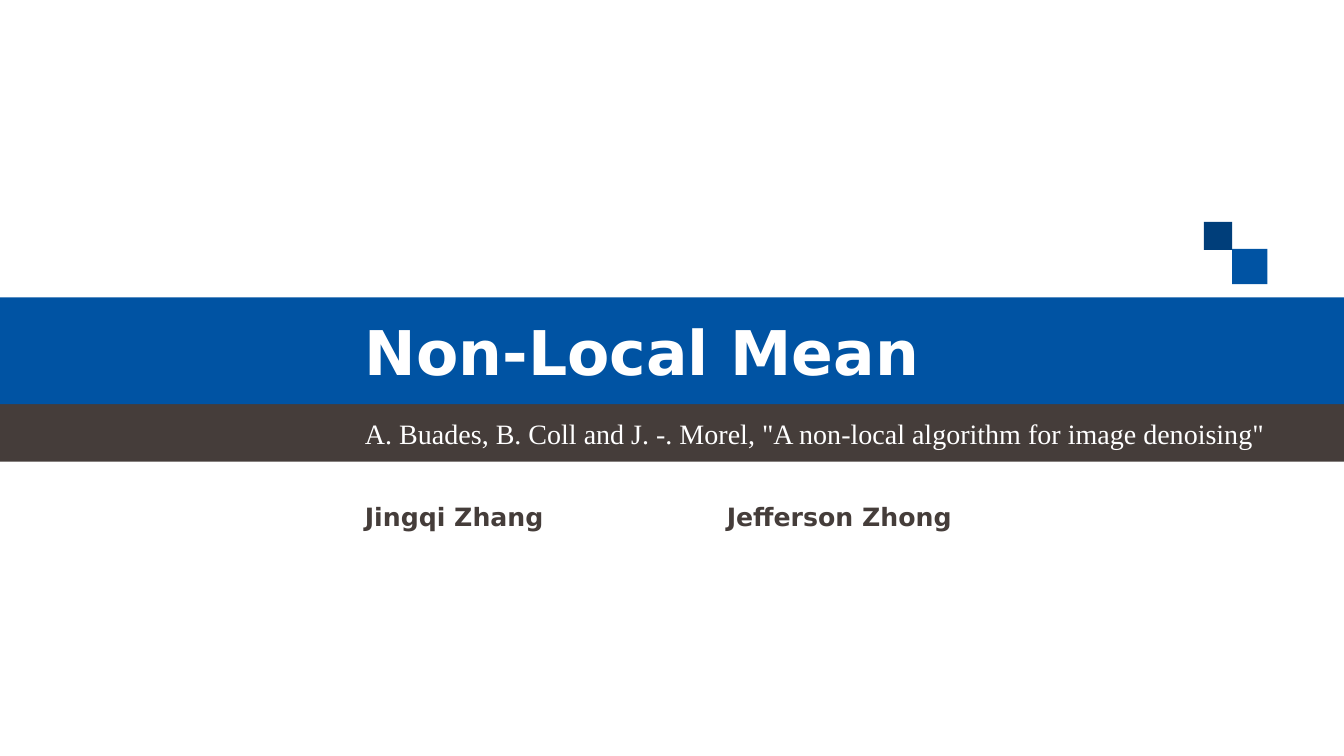
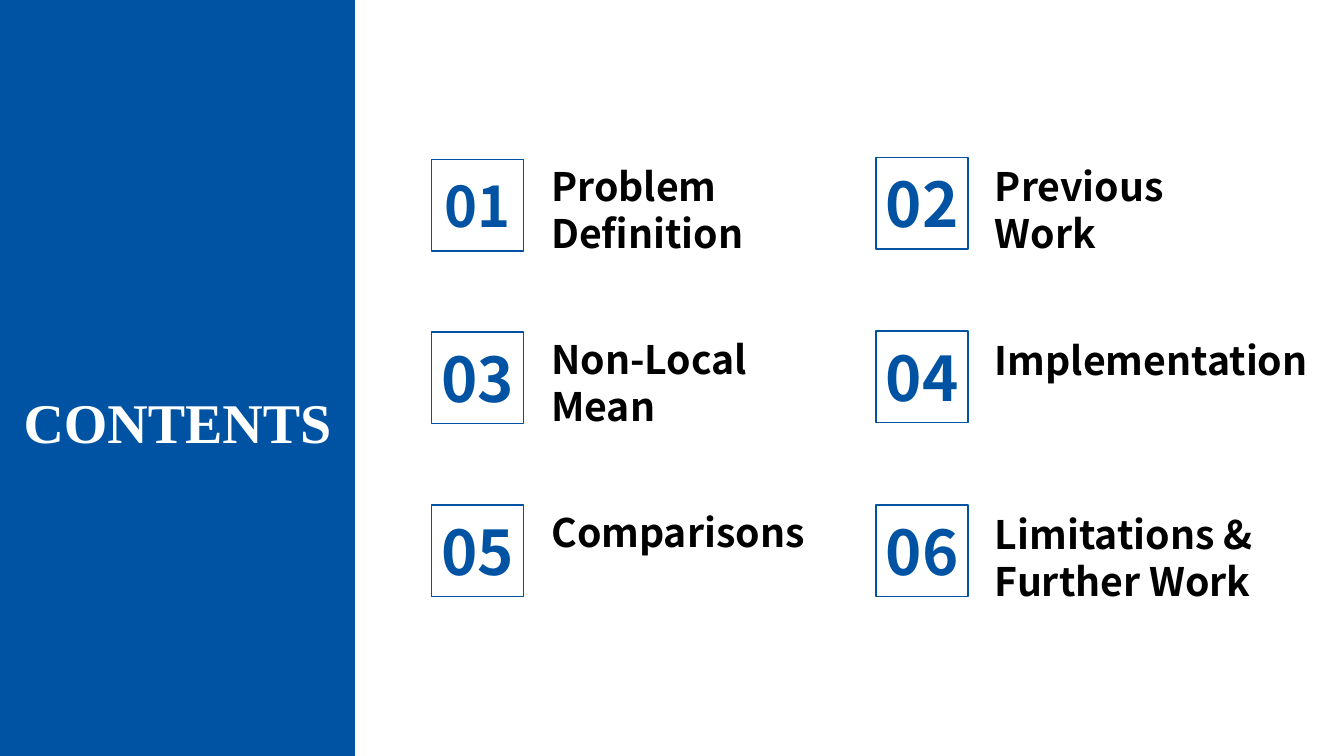
from dataclasses import dataclass

from pptx import Presentation
from pptx.dml.color import RGBColor
from pptx.enum.shapes import MSO_SHAPE
from pptx.enum.text import MSO_ANCHOR, MSO_AUTO_SIZE, PP_ALIGN
from pptx.util import Inches, Pt

RECT = MSO_SHAPE.RECTANGLE
LEFT, CENTER = PP_ALIGN.LEFT, PP_ALIGN.CENTER
TOP, MIDDLE = MSO_ANCHOR.TOP, MSO_ANCHOR.MIDDLE
NO_FIT = MSO_AUTO_SIZE.NONE
TITLE_LAYOUT, TITLE_ONLY_LAYOUT = 0, 5
SLIDE_W, SLIDE_H = 13.33, 7.5


@dataclass(frozen=True)
class Theme:
    blue: str = "0053A3"
    navy: str = "003E7A"
    brown: str = "453D3A"
    white: str = "FFFFFF"
    black: str = "000000"
    sans: str = "DejaVu Sans"
    serif: str = "Times New Roman"
    cjk: str = "Noto Sans CJK SC"
    title: int = 44
    heading: int = 40
    label: int = 28
    citation: int = 20
    author: int = 18


@dataclass(frozen=True)
class Box:
    left: float
    top: float
    width: float
    height: float

    def emu(self) -> tuple:
        return tuple(Inches(v) for v in (self.left, self.top, self.width, self.height))


@dataclass(frozen=True)
class Column:
    square_left: float
    label_left: float
    first_top: float
    last_top: float
    label_rise: float


@dataclass(frozen=True)
class Topic:
    text: str
    label_width: float = 2.62
    number_size: int = 44


THEME = Theme()
SPINE = 3.52  # left edge of the cover text, width of the contents panel
SQUARE = 0.91
COLUMNS = (
    Column(4.28, 5.37, 1.58, 5.01, 0.02),
    Column(8.69, 9.77, 1.56, 5.01, 0),
)
TOPICS = (
    Topic("Problem Definition", number_size=40),
    Topic("Previous Work"),
    Topic("Non-Local Mean"),
    Topic("Implementation", label_width=3.5),
    Topic("Comparisons", label_width=2.94),
    Topic("Limitations & Further Work", label_width=3.04),
)
LAST_ROW = len(TOPICS) // len(COLUMNS) - 1


def write(shape, text: str, *, size: int, font: str, color: str, bold: bool = True,
          align=LEFT, anchor=TOP, wrap: bool = True) -> None:
    """Put one formatted paragraph into a shape."""
    tf = shape.text_frame
    tf.word_wrap, tf.auto_size, tf.vertical_anchor = wrap, NO_FIT, anchor
    p = tf.paragraphs[0]
    p.alignment, p.space_before = align, Pt(0)
    r = p.add_run()
    r.text = text
    r.font.size, r.font.name, r.font.bold = Pt(size), font, bold
    r.font.color.rgb = RGBColor.from_string(color)


def add_rect(shapes, box: Box, fill: str = "", line: str = ""):
    """Add a plain rectangle; an empty colour means none."""
    rect = shapes.add_shape(RECT, *box.emu())
    rect.shadow.inherit = False
    if fill:
        rect.fill.solid()
        rect.fill.fore_color.rgb = RGBColor.from_string(fill)
    else:
        rect.fill.background()
    if line:
        rect.line.color.rgb = RGBColor.from_string(line)
        rect.line.width = Pt(1)
    else:
        rect.line.fill.background()
    return rect


def place(s, placeholder, box: Box):
    """Move a placeholder to a box, in front of the bands."""
    placeholder.left, placeholder.top, placeholder.width, placeholder.height = box.emu()
    s.shapes.element.append(placeholder.element)
    return placeholder


def build_cover(prs) -> None:
    s = prs.slides.add_slide(prs.slide_layouts[TITLE_LAYOUT])
    # Bands and corner squares
    add_rect(s.shapes, Box(0, 4.01, SLIDE_W, 0.57), THEME.brown)
    add_rect(s.shapes, Box(0, 2.95, SLIDE_W, 1.06), THEME.blue)
    add_rect(s.shapes, Box(12.22, 2.47, 0.35, 0.35), THEME.blue)
    add_rect(s.shapes, Box(11.94, 2.2, 0.28, 0.28), THEME.navy)
    # Title and citation
    write(place(s, s.shapes.title, Box(SPINE, 3.06, 9.06, 0.84)), "Non-Local Mean",
          size=THEME.title, font=THEME.sans, color=THEME.white)
    write(place(s, s.placeholders[1], Box(SPINE, 4.08, 9.49, 0.44)),
          'A. Buades, B. Coll and J. -. Morel, "A non-local algorithm for image denoising"',
          size=THEME.citation, font=THEME.serif, color=THEME.white, bold=False)
    # Authors
    for left, width, name in ((SPINE, 3.35, "Jingqi Zhang"), (7.11, 2.79, "Jefferson Zhong")):
        write(s.shapes.add_textbox(*Box(left, 4.92, width, 0.4).emu()), name,
              size=THEME.author, font=THEME.sans, color=THEME.brown)


def add_topic(s, index: int, topic: Topic) -> None:
    """Draw a numbered square and its label in the two-column grid."""
    row, col = divmod(index, len(COLUMNS))
    column = COLUMNS[col]
    top = column.first_top + row * (column.last_top - column.first_top) / LAST_ROW
    shapes = s.shapes.add_group_shape().shapes
    label = shapes.add_textbox(
        *Box(column.label_left, top - column.label_rise, topic.label_width, 1.04).emu())
    write(label, topic.text, size=THEME.label, font=THEME.cjk, color=THEME.black)
    square = add_rect(shapes, Box(column.square_left, top, SQUARE, SQUARE), line=THEME.blue)
    write(square, f"{index + 1:02d}", size=topic.number_size, font=THEME.cjk,
          color=THEME.blue, align=CENTER, anchor=MIDDLE, wrap=False)


def build_contents(prs) -> None:
    s = prs.slides.add_slide(prs.slide_layouts[TITLE_ONLY_LAYOUT])
    # Side panel with the heading
    add_rect(s.shapes, Box(0, 0, SPINE, SLIDE_H), THEME.blue)
    write(place(s, s.shapes.title, Box(0, 3.79, SPINE, 0.77)), "CONTENTS",
          size=THEME.heading, font=THEME.serif, color=THEME.white, align=CENTER)
    # Topics
    for index, topic in enumerate(TOPICS):
        add_topic(s, index, topic)


def main() -> None:
    prs = Presentation()
    prs.slide_width, prs.slide_height = Inches(SLIDE_W), Inches(SLIDE_H)
    build_cover(prs)
    build_contents(prs)
    prs.save("out.pptx")


if __name__ == "__main__":
    main()
